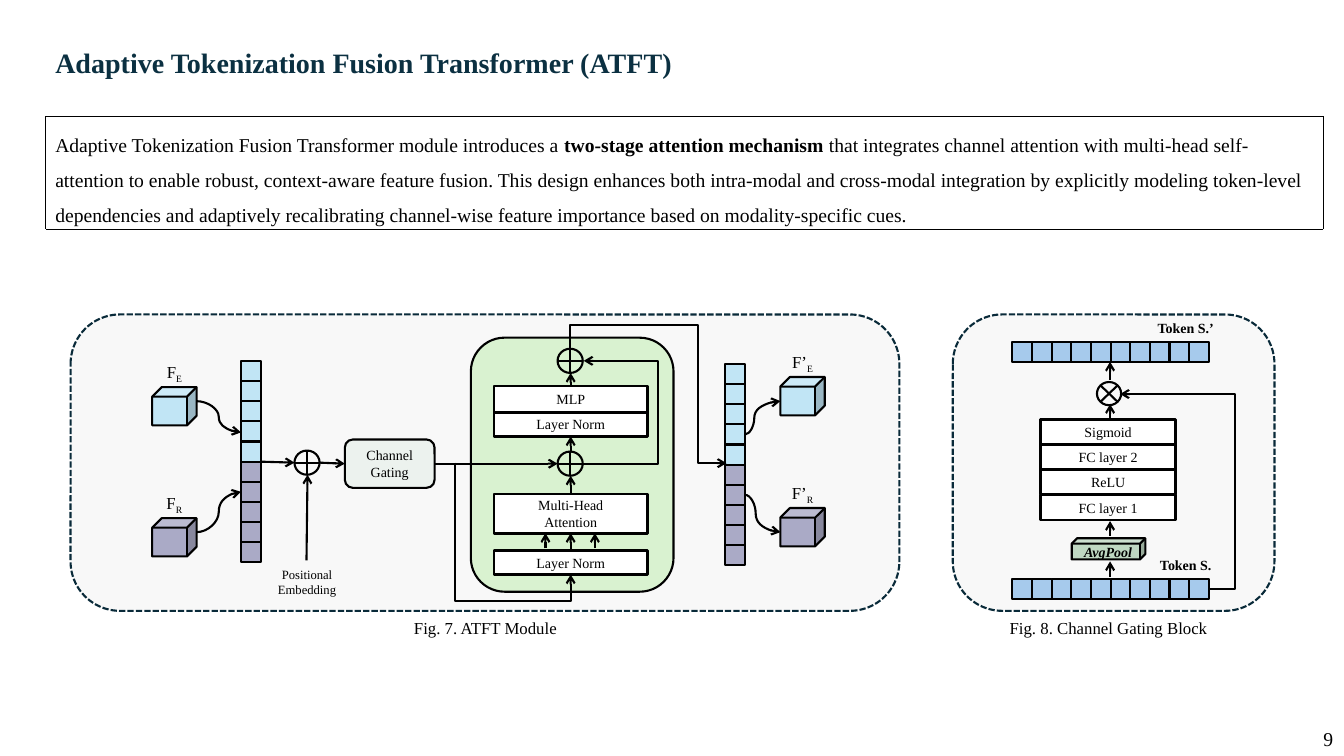
from lxml.etree import SubElement
from pptx import Presentation
from pptx.dml.color import RGBColor
from pptx.enum.dml import MSO_LINE
from pptx.enum.shapes import MSO_CONNECTOR as Link, MSO_SHAPE as Shape
from pptx.enum.text import MSO_ANCHOR as Anchor, MSO_AUTO_SIZE as AutoSize, PP_ALIGN as Align
from pptx.oxml.ns import qn
from pptx.util import Inches, Pt

FONT = "Times New Roman"
BLACK = RGBColor(0x00, 0x00, 0x00)
WHITE = RGBColor(0xFF, 0xFF, 0xFF)
TITLE_NAVY = RGBColor(0x0B, 0x30, 0x41)
PANEL_NAVY = RGBColor(0x09, 0x2A, 0x39)
PANEL_GRAY = RGBColor(0xF8, 0xF8, 0xF8)
BLOCK_GREEN = RGBColor(0xD9, 0xF2, 0xD0)
POOL_GREEN = RGBColor(0xBF, 0xD8, 0xC2)
GATE_GREEN = RGBColor(0xEC, 0xF2, 0xEE)
SKY = RGBColor(0xC1, 0xE5, 0xF5)
LILAC = RGBColor(0xAA, 0xAA, 0xC6)
TOKEN_BLUE = RGBColor(0xA6, 0xCA, 0xEC)

DESCRIPTION = [
    ("Adaptive Tokenization Fusion Transformer module introduces a ", {}),
    ("two-stage attention mechanism ", {"bold": True}),
    ("that integrates channel attention with multi-head self-attention to enable robust, "
     "context-aware feature fusion. This design enhances both intra-modal and cross-modal "
     "integration by explicitly modeling token-level dependencies and adaptively recalibrating "
     "channel-wise feature importance based on modality-specific cues.", {}),
]
CELL = 0.2


def write(shape, text, size=10, color=BLACK, bold=False, italic=False,
          align=Align.CENTER, anchor=Anchor.MIDDLE, spacing=None, grow=False):
    """Fill a shape with a string (one paragraph a line) or with (text, format) spans."""
    frame = shape.text_frame
    frame.word_wrap = True
    frame.vertical_anchor = anchor
    if grow:
        frame.auto_size = AutoSize.SHAPE_TO_FIT_TEXT
    lines = [[(line, {})] for line in text.split("\n")] if isinstance(text, str) else [text]
    for index, spans in enumerate(lines):
        para = frame.add_paragraph() if index else frame.paragraphs[0]
        para.alignment = align
        if spacing:
            para.line_spacing = spacing
        for words, style in spans:
            span = para.add_run()
            span.text = words
            span.font.name = FONT
            span.font.size = Pt(size)
            span.font.color.rgb = color
            span.font.bold = style.get("bold", bold)
            span.font.italic = italic
            if style.get("subscript"):
                span._r.get_or_add_rPr().set("baseline", "-25000")


def add_label(page, text, left, top, width, height, **style):
    label = page.shapes.add_textbox(Inches(left), Inches(top), Inches(width), Inches(height))
    write(label, text, anchor=Anchor.TOP, grow=True, **style)


def add_figure(page, kind, left, top, width, height, fill,
               line=BLACK, weight=1.5, dash=None):
    figure = page.shapes.add_shape(kind, Inches(left), Inches(top), Inches(width), Inches(height))
    figure.shadow.inherit = False
    figure.fill.solid()
    figure.fill.fore_color.rgb = fill
    figure.line.color.rgb = line
    figure.line.width = Pt(weight)
    if dash:
        figure.line.dash_style = dash
    return figure


def add_layer(page, text, left, top, width, height):
    layer = add_figure(page, Shape.RECTANGLE, left, top, width, height, WHITE, weight=2)
    write(layer, text)
    return layer


def add_cells(page, left, top, fills, step_x=0.0, step_y=0.0):
    for index, fill in enumerate(fills):
        add_figure(page, Shape.RECTANGLE, left + index * step_x, top + index * step_y,
                   CELL, CELL, fill)


def add_arrow(page, start, end, kind=Link.STRAIGHT, preset=None, adjust=(), turn=0,
              leaves=None, enters=None):
    """Draw an arrow; leaves and enters are (shape, side) pairs it is joined to."""
    arrow = page.shapes.add_connector(kind, *(Inches(value) for value in (*start, *end)))
    if leaves:
        arrow.begin_connect(*leaves)
    if enters:
        arrow.end_connect(*enters)
    arrow.line.color.rgb = BLACK
    arrow.line.width = Pt(1.5)
    SubElement(arrow.line._get_or_add_ln(), qn("a:tailEnd"), type="arrow")
    properties = arrow._element.spPr
    SubElement(properties, qn("a:effectLst"))
    if turn:
        properties.find(qn("a:xfrm")).set("rot", str(turn * 60000))
    geometry = properties.find(qn("a:prstGeom"))
    if preset:
        geometry.set("prst", preset)
    guides = geometry.find(qn("a:avLst"))
    if guides is None:
        guides = SubElement(geometry, qn("a:avLst"))
    for index, share in enumerate(adjust, 1):
        SubElement(guides, qn("a:gd"), name=f"adj{index}", fmla=f"val {round(share * 100000)}")


def add_feature(page, left, top, name, letter, fill):
    add_figure(page, Shape.CUBE, left, top, 0.44, 0.38, fill)
    add_label(page, [(name, {}), (letter, {"subscript": True})],
              left, top - 0.3, 0.44, 0.3, size=12)


def add_header(page):
    add_label(page, "Adaptive Tokenization Fusion Transformer (ATFT)", 0.45, 0.4, 9.77, 0.44,
              size=20, color=TITLE_NAVY, bold=True, align=Align.LEFT)
    box = add_figure(page, Shape.RECTANGLE, 0.45, 1.15, 12.67, 1.12, WHITE,
                     weight=0.25, dash=MSO_LINE.ROUND_DOT)
    write(box, DESCRIPTION, size=14, align=Align.LEFT, anchor=Anchor.TOP, spacing=1.5, grow=True)
    add_label(page, "9", 13.01, 7.16, 0.33, 0.34, size=14)


def add_panel(page, left, width, caption, caption_left):
    add_figure(page, Shape.ROUNDED_RECTANGLE, left, 3.12, width, 2.94, PANEL_GRAY,
               line=PANEL_NAVY, dash=MSO_LINE.SQUARE_DOT)
    add_label(page, caption, caption_left, 6.08, 2.29, 0.3, size=12)


def add_atft_module(page):
    add_panel(page, 0.7, 8.22, "Fig. 7. ATFT Module", 3.67)
    add_figure(page, Shape.ROUNDED_RECTANGLE, 4.67, 3.35, 2.01, 2.52, BLOCK_GREEN)

    # Modality features and their token columns
    for left, top, name in ((1.51, 3.84, "F"), (7.74, 3.74, "F’")):
        add_feature(page, left, top, name, "E", SKY)
        add_feature(page, left, top + 1.3, name, "R", LILAC)
    for left, top in ((2.39, 3.58), (7.19, 3.61)):
        add_cells(page, left, top, [SKY] * 5 + [LILAC] * 5, step_y=CELL)
    for start, end, bend in (((1.95, 3.98), (2.39, 4.29), 0.5),
                             ((1.95, 5.28), (2.39, 4.88), 0.5),
                             ((7.39, 4.31), (7.74, 3.98), 0.26),
                             ((7.39, 4.91), (7.74, 5.28), 0.3)):
        add_arrow(page, start, end, Link.CURVE, adjust=[bend])

    # Sums, gate and transformer layers
    for left, top, fill in ((2.92, 4.47, PANEL_GRAY), (5.53, 4.48, BLOCK_GREEN),
                            (5.53, 3.46, BLOCK_GREEN)):
        add_figure(page, Shape.FLOWCHART_OR, left, top, 0.25, 0.24, fill)
    gate = add_figure(page, Shape.ROUNDED_RECTANGLE, 3.42, 4.36, 0.89, 0.48, GATE_GREEN)
    write(gate, "Channel Gating")
    mlp = add_layer(page, "MLP", 4.9, 3.83, 1.52, 0.26)
    upper_norm = add_layer(page, "Layer Norm", 4.9, 4.09, 1.52, 0.24)
    attention = add_layer(page, "Multi-Head\nAttention", 4.9, 4.9, 1.52, 0.39)
    lower_norm = add_layer(page, "Layer Norm", 4.9, 5.46, 1.52, 0.24)
    add_label(page, "Positional Embedding", 2.62, 5.57, 0.85, 0.4, size=9)

    # Straight flow
    add_arrow(page, (2.58, 4.58), (2.92, 4.59))
    add_arrow(page, (3.04, 5.56), (3.05, 4.71))
    add_arrow(page, (3.17, 4.59), (3.42, 4.6), enters=(gate, 1))
    add_arrow(page, (4.31, 4.6), (5.53, 4.6), leaves=(gate, 3))
    for x in (5.41, 5.9):
        add_arrow(page, (x, 5.44), (x, 5.29))
    add_arrow(page, (5.66, 5.46), (5.66, 5.29), leaves=(lower_norm, 0), enters=(attention, 2))
    add_arrow(page, (5.66, 4.9), (5.66, 4.72), leaves=(attention, 0))
    add_arrow(page, (5.66, 4.48), (5.66, 4.33), enters=(upper_norm, 2))
    add_arrow(page, (5.66, 3.83), (5.66, 3.7), leaves=(mlp, 0))

    # Residual paths and output path
    add_arrow(page, (5.78, 4.6), (5.79, 3.58), Link.ELBOW, adjust=[76])
    add_arrow(page, (4.51, 4.59), (5.66, 5.7), Link.ELBOW, "bentConnector4", [0, 1.24])
    add_arrow(page, (7.0, 3.25), (5.86, 4.8), Link.ELBOW, "bentConnector4", [-0.2, 0.82], turn=270)


def add_gating_block(page):
    add_panel(page, 9.45, 3.19, "Fig. 8. Channel Gating Block", 9.85)

    # Token rows
    for top, name in ((3.39, "Token S.’"), (5.74, "Token S.")):
        add_cells(page, 10.04, top, [TOKEN_BLUE] * 10, step_x=0.195)
        add_label(page, name, 11.34, top - 0.27, 0.84, 0.27, bold=True)

    # Pooling, layers and product
    add_figure(page, Shape.CUBE, 10.63, 5.34, 0.73, 0.21, POOL_GREEN)
    add_label(page, "AvgPool", 10.49, 5.34, 1, 0.27, bold=True, italic=True)
    for index, name in enumerate(("Sigmoid", "FC layer 2", "ReLU", "FC layer 1")):
        add_layer(page, name, 10.32, 4.16 + index * 0.25, 1.34, 0.25)
    add_figure(page, Shape.FLOWCHART_SUMMING_JUNCTION, 10.88, 3.79, 0.24, 0.23, PANEL_GRAY)

    # Upward flow and skip path
    for bottom, top in ((5.72, 5.57), (5.32, 5.17), (4.16, 4.01), (3.77, 3.59)):
        add_arrow(page, (11.01, bottom), (11.01, top))
    add_arrow(page, (11.99, 5.84), (11.11, 3.91), Link.ELBOW, adjust=[-0.3])


def main():
    deck = Presentation()
    deck.slide_width = Inches(13.33)
    deck.slide_height = Inches(7.5)
    page = deck.slides.add_slide(deck.slide_layouts[6])
    add_header(page)
    add_atft_module(page)
    add_gating_block(page)
    deck.save("out.pptx")


if __name__ == "__main__":
    main()
